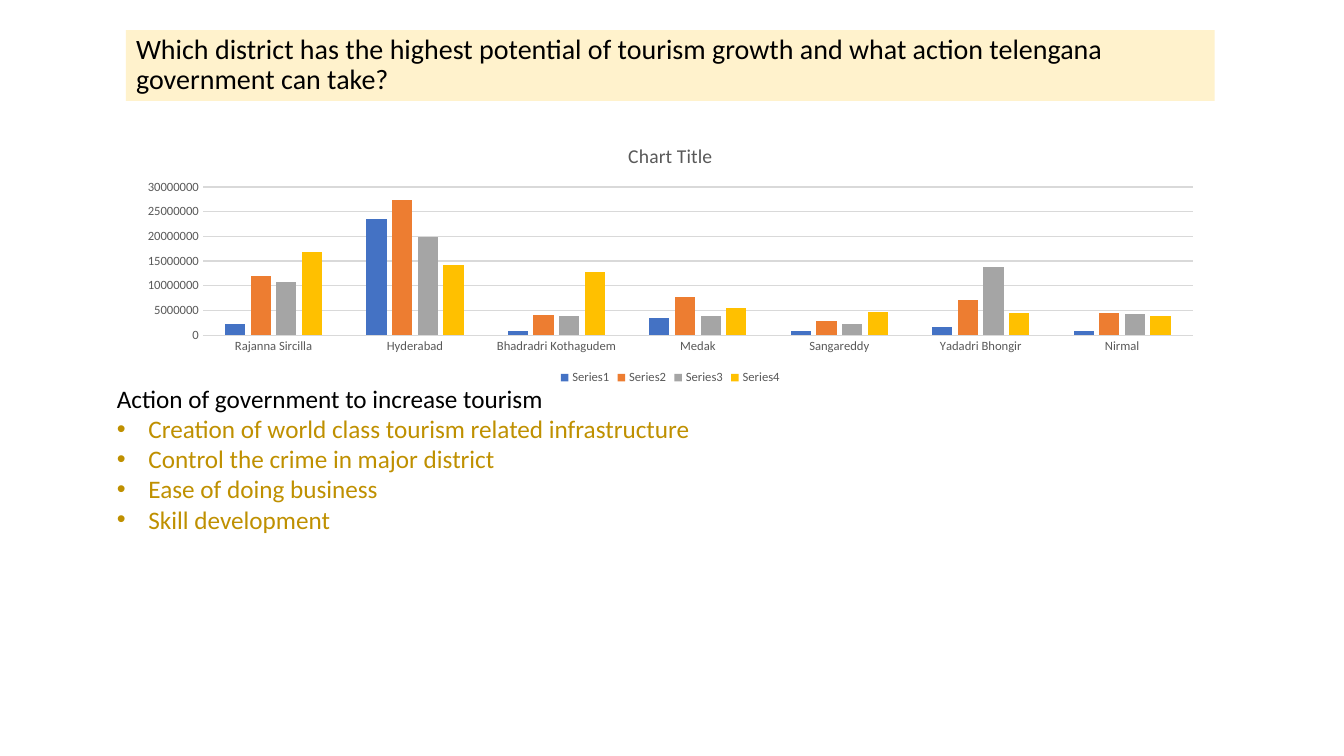
from lxml import etree
from pptx import Presentation
from pptx.chart.data import CategoryChartData
from pptx.dml.color import RGBColor
from pptx.enum.chart import XL_CHART_TYPE, XL_LEGEND_POSITION, XL_TICK_MARK
from pptx.enum.text import MSO_ANCHOR, MSO_AUTO_SIZE, PP_ALIGN
from pptx.oxml.ns import qn
from pptx.util import Pt

CLUSTERED = XL_CHART_TYPE.COLUMN_CLUSTERED
LEGEND_BOTTOM = XL_LEGEND_POSITION.BOTTOM
NO_TICK = XL_TICK_MARK.NONE
TOP, MIDDLE = MSO_ANCHOR.TOP, MSO_ANCHOR.MIDDLE
NO_FIT = MSO_AUTO_SIZE.NONE
LEFT = PP_ALIGN.LEFT

BLACK, GREY, RULE = "000000", "595959", "D9D9D9"
CREAM, GOLD = "FFF2CC", "BF9000"

TITLE = ("Which district has the highest potential of tourism growth "
         "and what action telengana government can take?")
DISTRICTS = ["Rajanna Sircilla", "Hyderabad", "Bhadradri Kothagudem", "Medak",
             "Sangareddy", "Yadadri Bhongir", "Nirmal"]
SERIES = [
    ("Series1", "4472C4", [2200000, 23600000, 900000, 3500000, 800000, 1700000, 900000]),
    ("Series2", "ED7D31", [11900000, 27400000, 4100000, 7700000, 2800000, 7000000, 4400000]),
    ("Series3", "A5A5A5", [10800000, 19900000, 3800000, 3900000, 2300000, 13700000, 4200000]),
    ("Series4", "FFC000", [16800000, 14100000, 12800000, 5500000, 4600000, 4500000, 3800000]),
]
HEADING = "Action of government to increase tourism"
ACTIONS = [
    "Creation of world class tourism related infrastructure",
    "Control the crime in major district",
    "Ease of doing business",
    "Skill development",
]


def rgb(code):
    return RGBColor.from_string(code)


class SlideBuilder:
    font_name = "Calibri"
    bullet_indent = Pt(22.5)

    def __init__(self, page):
        self.page = page

    def style(self, font, size, color):
        font.name = self.font_name
        font.size = Pt(size)
        font.bold = False
        font.color.rgb = rgb(color)

    def place(self, box, bounds, anchor):
        box.left, box.top, box.width, box.height = (Pt(length) for length in bounds)
        frame = box.text_frame
        frame.word_wrap = True
        frame.auto_size = NO_FIT
        frame.vertical_anchor = anchor
        return frame

    def add_text(self, para, text, size, color, spacing=1.0):
        para.alignment = LEFT
        para.line_spacing = spacing
        para.space_before = Pt(0)
        span = para.add_run()
        span.text = text
        self.style(span.font, size, color)

    def bullet(self, para, shown):
        indent = self.bullet_indent if shown else 0
        props = para._p.get_or_add_pPr()
        props.set("marL", str(indent))
        props.set("indent", str(-indent))
        if shown:
            etree.SubElement(props, qn("a:buFont"), typeface="Arial")
            etree.SubElement(props, qn("a:buChar"), char="•")
        else:
            etree.SubElement(props, qn("a:buNone"))

    def title(self, text, bounds):
        box = self.page.shapes.title
        frame = self.place(box, bounds, MIDDLE)
        box.fill.solid()
        box.fill.fore_color.rgb = rgb(CREAM)
        self.add_text(frame.paragraphs[0], text, 20, BLACK, 0.9)

    def action_list(self, heading, items, bounds):
        frame = self.place(self.page.placeholders[1], bounds, TOP)
        para = frame.paragraphs[0]
        self.bullet(para, False)
        self.add_text(para, heading, 18, BLACK)
        for item in items:
            para = frame.add_paragraph()
            self.bullet(para, True)
            self.add_text(para, item, 18, GOLD)

    def axis(self, axis):
        axis.major_tick_mark = axis.minor_tick_mark = NO_TICK
        self.style(axis.tick_labels.font, 9, GREY)

    def rule(self, line):
        line.color.rgb = rgb(RULE)
        line.width = Pt(0.75)

    def column_chart(self, heading, categories, series, bounds):
        data = CategoryChartData(number_format="General")
        data.categories = categories
        for name, _, values in series:
            data.add_series(name, values)
        chart = self.page.shapes.add_chart(
            CLUSTERED, *(Pt(length) for length in bounds), data).chart
        self.style(chart.font, 10, BLACK)

        # Chart title and legend
        chart.has_title = True
        span = chart.chart_title.text_frame.paragraphs[0].add_run()
        span.text = heading
        self.style(span.font, 14, GREY)
        chart.chart_title.include_in_layout = False
        chart.has_legend = True
        chart.legend.position = LEGEND_BOTTOM
        chart.legend.include_in_layout = False
        self.style(chart.legend.font, 9, GREY)

        # Axes
        self.axis(chart.category_axis)
        self.rule(chart.category_axis.format.line)
        self.axis(chart.value_axis)
        chart.value_axis.format.line.fill.background()
        chart.value_axis.maximum_scale = 30000000
        chart.value_axis.major_unit = 5000000
        self.rule(chart.value_axis.major_gridlines.format.line)

        # Columns
        plot = chart.plots[0]
        plot.vary_by_categories = False
        plot.gap_width = 219
        plot.overlap = -27
        for columns, (_, color, _) in zip(plot.series, series):
            columns.format.fill.solid()
            columns.format.fill.fore_color.rgb = rgb(color)


def main():
    deck = Presentation()
    deck.slide_width, deck.slide_height = Pt(960), Pt(540)
    builder = SlideBuilder(deck.slides.add_slide(deck.slide_layouts[1]))

    builder.title(TITLE, (90, 21.6, 777.6, 50.4))
    builder.column_chart("Chart Title", DISTRICTS, SERIES, (90, 91.4, 777.6, 186.5))
    builder.action_list(HEADING, ACTIONS, (76.3, 270, 815.8, 116.6))

    deck.save("out.pptx")


if __name__ == "__main__":
    main()
